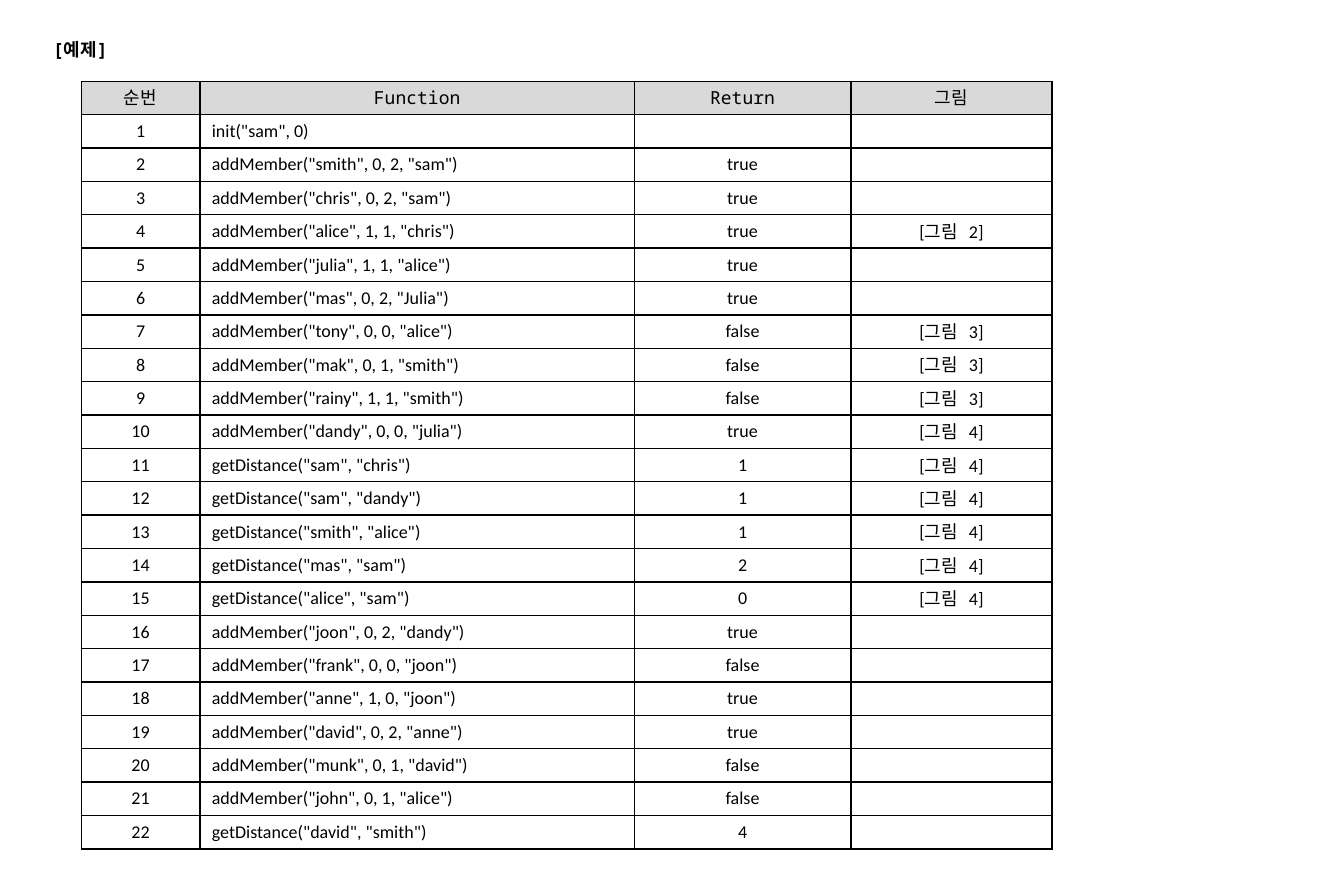
from dataclasses import dataclass

from lxml import etree
from pptx import Presentation
from pptx import util as u
from pptx.dml.color import RGBColor
from pptx.enum import text
from pptx.oxml import ns

EMU_PER_PX = 9144  # 100 px to the inch
MONO, SANS = "Noto Sans Mono", "Calibri"
BLACK, HEADER_GREY = "000000", "D9D9D9"
FONT_SIZE = u.Pt(11)

HEADERS = ["순번", "Function", "Return", "그림"]
COLUMN_WIDTHS = [101, 369, 184, 171]
TABLE_LEFT, TABLE_TOP, TABLE_HEIGHT = 69, 69, 652


@dataclass
class Call:
    code: str
    result: str = ""
    figure: str = ""


CALLS = [
    Call('init("sam", 0)'),
    Call('addMember("smith", 0, 2, "sam")', "true"),
    Call('addMember("chris", 0, 2, "sam")', "true"),
    Call('addMember("alice", 1, 1, "chris")', "true", "[그림 2]"),
    Call('addMember("julia", 1, 1, "alice")', "true"),
    Call('addMember("mas", 0, 2, "Julia")', "true"),
    Call('addMember("tony", 0, 0, "alice")', "false", "[그림 3]"),
    Call('addMember("mak", 0, 1, "smith")', "false", "[그림 3]"),
    Call('addMember("rainy", 1, 1, "smith")', "false", "[그림 3]"),
    Call('addMember("dandy", 0, 0, "julia")', "true", "[그림 4]"),
    Call('getDistance("sam", "chris")', "1", "[그림 4]"),
    Call('getDistance("sam", "dandy")', "1", "[그림 4]"),
    Call('getDistance("smith", "alice")', "1", "[그림 4]"),
    Call('getDistance("mas", "sam")', "2", "[그림 4]"),
    Call('getDistance("alice", "sam")', "0", "[그림 4]"),
    Call('addMember("joon", 0, 2, "dandy")', "true"),
    Call('addMember("frank", 0, 0, "joon")', "false"),
    Call('addMember("anne", 1, 0, "joon")', "true"),
    Call('addMember("david", 0, 2, "anne")', "true"),
    Call('addMember("munk", 0, 1, "david")', "false"),
    Call('addMember("john", 0, 1, "alice")', "false"),
    Call('getDistance("david", "smith")', "4"),
]


def px(length: float) -> int:
    return u.Emu(round(length * EMU_PER_PX))


def color(hex_code: str) -> RGBColor:
    return RGBColor.from_string(hex_code)


def add_run(paragraph, content: str, font_name: str, bold: bool = False) -> None:
    run = paragraph.add_run()
    run.text = content
    run.font.name, run.font.size, run.font.bold = font_name, FONT_SIZE, bold
    run.font.color.rgb = color(BLACK)
    # Hangul always takes the monospaced face
    east_asian = etree.SubElement(run.font._element, ns.qn("a:ea"))
    east_asian.set("typeface", MONO)


def add_borders(cell) -> None:
    properties = cell._tc.get_or_add_tcPr()
    for side in ("lnL", "lnR", "lnT", "lnB"):
        line = etree.SubElement(properties, ns.qn(f"a:{side}"), w=str(u.Pt(1)))
        fill = etree.SubElement(line, ns.qn("a:solidFill"))
        etree.SubElement(fill, ns.qn("a:srgbClr"), val=BLACK)


def fill_cell(cell, content: str, font_name: str, centered: bool, fill: str = "") -> None:
    cell.vertical_anchor = text.MSO_ANCHOR.MIDDLE
    cell.margin_top = cell.margin_bottom = px(2)
    add_borders(cell)
    if fill:
        cell.fill.solid()
        cell.fill.fore_color.rgb = color(fill)
    else:
        cell.fill.background()
    paragraph = cell.text_frame.paragraphs[0]
    paragraph.alignment = text.PP_ALIGN.CENTER if centered else text.PP_ALIGN.LEFT
    if content:
        add_run(paragraph, content, font_name)
    else:  # keeps an empty cell from stretching its row
        etree.SubElement(paragraph._p, ns.qn("a:endParaRPr"), sz=str(FONT_SIZE.centipoints))


def add_title(slide) -> None:
    title = slide.shapes.title
    title.left, title.top, title.width, title.height = px(35), px(22), px(981), px(32)
    frame = title.text_frame
    frame.word_wrap = True
    frame.auto_size = text.MSO_AUTO_SIZE.SHAPE_TO_FIT_TEXT
    frame.vertical_anchor = text.MSO_ANCHOR.TOP
    paragraph = frame.paragraphs[0]
    paragraph.alignment = text.PP_ALIGN.LEFT
    paragraph.line_spacing = 1.3
    paragraph.space_before = u.Pt(0)
    add_run(paragraph, "[예제]", MONO, bold=True)


def add_call_table(slide) -> None:
    row_count = len(CALLS) + 1
    table = slide.shapes.add_table(
        row_count, len(HEADERS), px(TABLE_LEFT), px(TABLE_TOP),
        px(sum(COLUMN_WIDTHS)), px(TABLE_HEIGHT)).table
    table.first_row = table.horz_banding = False
    for column, width in zip(table.columns, COLUMN_WIDTHS):
        column.width = px(width)
    for row in table.rows:
        row.height = px(TABLE_HEIGHT / row_count)

    # Header row
    for index, header in enumerate(HEADERS):
        fill_cell(table.cell(0, index), header, MONO, True, HEADER_GREY)

    # Numbered calls
    for number, call in enumerate(CALLS, start=1):
        values = [str(number), call.code, call.result, call.figure]
        for index, value in enumerate(values):
            fill_cell(table.cell(number, index), value, SANS, centered=index != 1)


def main() -> None:
    presentation = Presentation()
    presentation.slide_width, presentation.slide_height = px(1142), px(750)
    title_only = presentation.slide_layouts[5]
    slide = presentation.slides.add_slide(title_only)
    add_title(slide)
    add_call_table(slide)
    presentation.save("out.pptx")


if __name__ == "__main__":
    main()
